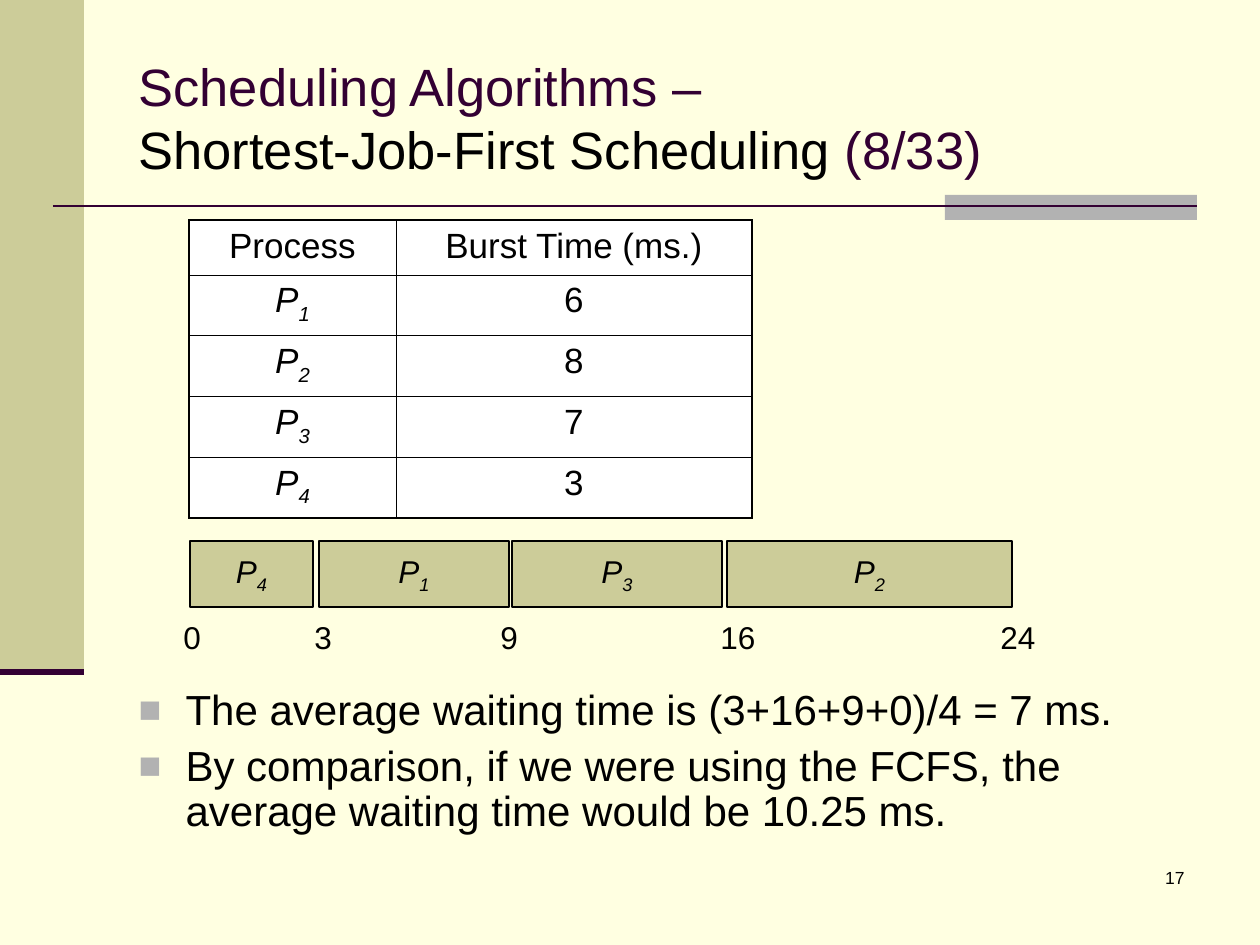
from lxml.etree import SubElement
from pptx import Presentation
from pptx.dml.color import RGBColor
from pptx.enum.shapes import MSO_CONNECTOR, MSO_SHAPE
from pptx.enum.text import MSO_ANCHOR, MSO_AUTO_SIZE, PP_ALIGN
from pptx.oxml.ns import qn
from pptx.util import Emu, Pt

EMU_PER_PX = 914400 / 126
FONT = "Arial"
COLORS = {"background": "FFFFE1", "khaki": "CCCC99", "gray": "B2B2B2",
          "plum": "330033", "black": "000000", "white": "FFFFFF"}
BURST_TIMES = [("1", "6"), ("2", "8"), ("3", "7"), ("4", "3")]
GANTT_BARS = [("4", 0, 123), ("1", 129, 190), ("3", 322, 210), ("2", 537, 285)]
GANTT_TIMES = [("0", -19), ("3", 112), ("9", 298), ("16", 518), ("24", 798)]
BREAK = "\n"


def px(length):
    return Emu(round(length * EMU_PER_PX))


def color(name):
    return RGBColor.from_string(COLORS[name])


def place(shape, box):
    shape.left, shape.top, shape.width, shape.height = map(px, box)


def process(number):
    return [("P", {"italic": True}), (number, {"italic": True, "subscript": True})]


def write(paragraph, runs, size=18, ink="black", align=PP_ALIGN.LEFT, before=0, spacing=1.0):
    paragraph.alignment = align
    paragraph.space_before = Pt(before)
    paragraph.line_spacing = spacing
    for text, style in ([(runs, {})] if isinstance(runs, str) else runs):
        if text == BREAK:
            paragraph.add_line_break()
            line_break = paragraph._p.findall(qn("a:br"))[-1]
            SubElement(line_break, qn("a:rPr"), sz=str(size * 100))
            continue
        run = paragraph.add_run()
        run.text = text
        run.font.name = FONT
        run.font.size = Pt(size)
        run.font.color.rgb = color(style.get("ink", ink))
        run.font.italic = style.get("italic", False)
        if style.get("subscript"):
            run.font._element.set("baseline", "-25000")


def add_label(slide, box, text, wrap=False, **style):
    label = slide.shapes.add_textbox(*map(px, box))
    label.text_frame.word_wrap = wrap
    write(label.text_frame.paragraphs[0], text, **style)


def add_rectangle(slide, box, fill, line=None):
    rectangle = slide.shapes.add_shape(MSO_SHAPE.RECTANGLE, *map(px, box))
    rectangle.shadow.inherit = False
    rectangle.fill.solid()
    rectangle.fill.fore_color.rgb = color(fill)
    if line:
        rectangle.line.color.rgb = color(line)
        rectangle.line.width = Pt(0.75)
    else:
        rectangle.line.fill.background()
    return rectangle


def add_rule(slide, left, right, y, width):
    rule = slide.shapes.add_connector(MSO_CONNECTOR.STRAIGHT, px(left), px(y), px(right), px(y))
    rule.line.color.rgb = color("plum")
    rule.line.width = Pt(width)
    SubElement(rule._element.spPr, qn("a:effectLst"))


def add_decoration(slide, box):
    left, top, width, height = box
    add_rectangle(slide, (left, top, 84, 672), "khaki")
    add_rectangle(slide, (left + width - 315, top + 195, 252, 25), "gray")
    add_rule(slide, left + 53, left + width - 63, top + 206, 1.5)
    add_rule(slide, left, left + 84, top + 672, 3.5)


def fill_title(title, box):
    place(title, box)
    frame = title.text_frame
    frame.auto_size = MSO_AUTO_SIZE.NONE
    frame.vertical_anchor = MSO_ANCHOR.MIDDLE
    write(frame.paragraphs[0], [
        ("Scheduling Algorithms –", {}), (BREAK, {}),
        ("Shortest-Job-First Scheduling", {"ink": "black"}), (" (8/33)", {}),
    ], size=30, ink="plum")


def add_bullet(paragraph, indent):
    properties = paragraph._p.get_or_add_pPr()
    properties.set("marL", str(px(indent)))
    properties.set("indent", str(-px(indent)))
    bullet_color = SubElement(properties, qn("a:buClr"))
    SubElement(bullet_color, qn("a:srgbClr"), val=COLORS["gray"])
    SubElement(properties, qn("a:buSzPct"), val="90000")
    SubElement(properties, qn("a:buFont"), typeface=FONT)
    SubElement(properties, qn("a:buChar"), char="■")


def fill_body(body, box, items):
    place(body, box)
    frame = body.text_frame
    frame.auto_size = MSO_AUTO_SIZE.NONE
    for index, item in enumerate(items):
        paragraph = frame.add_paragraph() if index else frame.paragraphs[0]
        write(paragraph, item, size=24, before=6, spacing=0.9)
        add_bullet(paragraph, 47)


def set_border(cell, side, width):
    line = SubElement(cell._tc.get_or_add_tcPr(), qn(f"a:ln{side}"), w=str(Pt(width)))
    fill = SubElement(line, qn("a:solidFill"))
    SubElement(fill, qn("a:srgbClr"), val=COLORS["black"])


def add_burst_table(slide, box):
    rows = [("Process", "Burst Time (ms.)")]
    rows += [(process(number), burst) for number, burst in BURST_TIMES]
    table = slide.shapes.add_table(len(rows), 2, *map(px, box)).table
    table.first_row = table.horz_banding = False
    header = 55
    table.columns[0].width, table.columns[1].width = px(207), px(box[2] - 207)
    for index, values in enumerate(rows):
        table.rows[index].height = px((box[3] - header) / len(BURST_TIMES) if index else header)
        for column, value in enumerate(values):
            cell = table.cell(index, column)
            outer = {"L": column == 0, "R": column == 1,
                     "T": index == 0, "B": index == len(rows) - 1}
            for side, is_outer in outer.items():
                set_border(cell, side, 1.08 if is_outer else 0.45)
            cell.fill.solid()
            cell.fill.fore_color.rgb = color("white")
            write(cell.text_frame.paragraphs[0], value, size=20, align=PP_ALIGN.CENTER, before=5)


def add_gantt_chart(slide, box):
    left, top, _, height = box
    for number, offset, width in GANTT_BARS:
        bar = add_rectangle(slide, (left + offset, top, width, height), "khaki", "black")
        bar.text_frame.word_wrap = False
        bar.text_frame.vertical_anchor = MSO_ANCHOR.MIDDLE
        write(bar.text_frame.paragraphs[0], process(number), align=PP_ALIGN.CENTER)
    for time, offset in GANTT_TIMES:
        add_label(slide, (left + offset, top + 71, 25 + 18 * len(time), 50), time)


def main():
    presentation = Presentation()
    presentation.slide_width, presentation.slide_height = px(1260), px(945)
    slide = presentation.slides.add_slide(presentation.slide_layouts[1])
    slide.background.fill.solid()
    slide.background.fill.fore_color.rgb = color("background")
    add_decoration(slide, (0, 0, 1260, 945))
    fill_title(slide.shapes.title, (126, 38, 1071, 158))
    fill_body(slide.placeholders[1], (126, 683, 1071, 163), [
        "The average waiting time is (3+16+9+0)/4 = 7 ms.",
        "By comparison, if we were using the FCFS, the average waiting time would be 10.25 ms.",
    ])
    add_burst_table(slide, (189, 220, 563, 298))
    add_gantt_chart(slide, (190, 541, 822, 66))
    add_label(slide, (935, 861, 262, 63), "17", wrap=True, size=10, align=PP_ALIGN.RIGHT)
    presentation.save("out.pptx")


if __name__ == "__main__":
    main()
